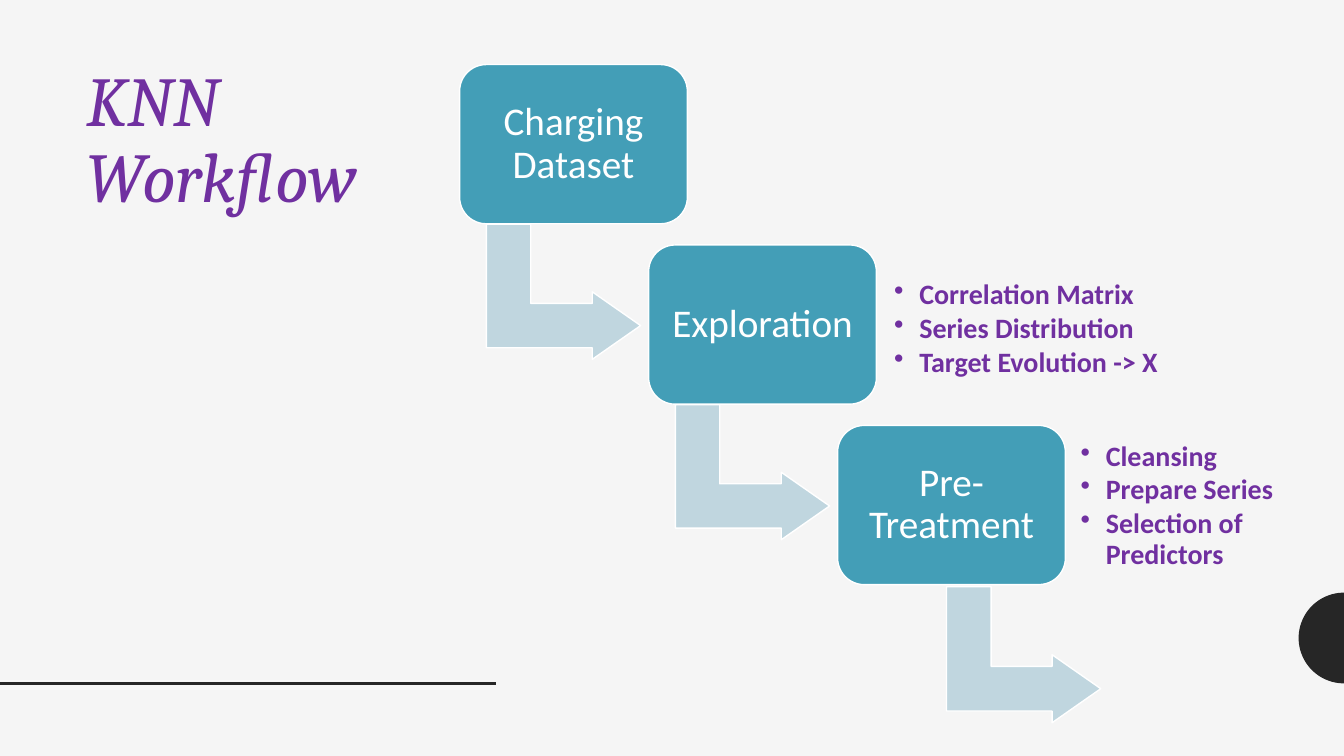
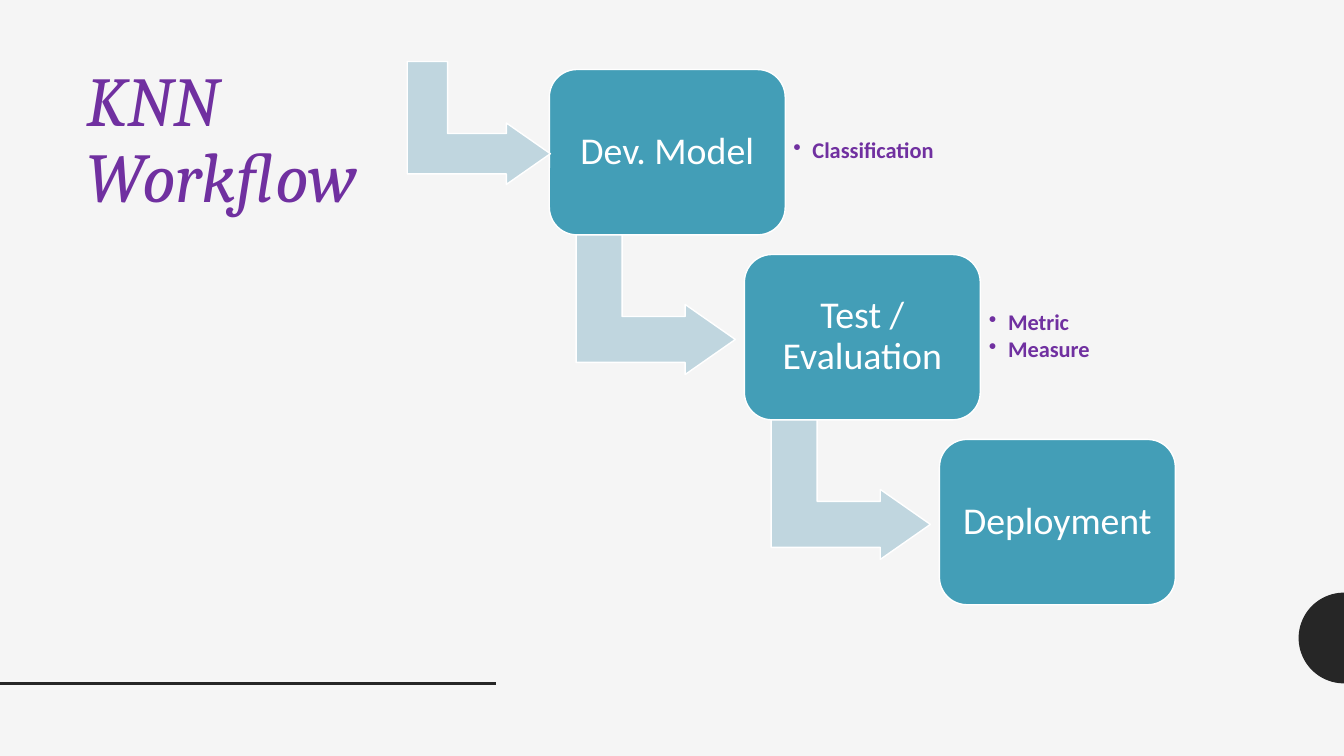
from math import cos, pi, sin

from lxml.etree import SubElement
from pptx import Presentation
from pptx.dml.color import RGBColor
from pptx.enum.shapes import MSO_CONNECTOR, MSO_SHAPE
from pptx.enum.text import MSO_ANCHOR as ANCHOR, PP_ALIGN as ALIGN
from pptx.oxml.ns import qn
from pptx.util import Inches, Pt


class Theme:
    background = RGBColor.from_string("F5F5F5")
    dark = RGBColor.from_string("262626")
    purple = RGBColor.from_string("7030A0")
    teal = RGBColor.from_string("439EB7")
    pale = RGBColor.from_string("C0D6DF")
    white = RGBColor.from_string("FFFFFF")
    title_font, body_font = "Cambria", "Calibri"
    title_size = 50


def write(shape, lines, size, color, font=Theme.body_font, bold=False, italic=False,
          align=ALIGN.LEFT, anchor=ANCHOR.MIDDLE, inset=(0.1, 0.05), after=0, indent=0):
    """Fill a shape with paragraphs; an indent makes them bullets."""
    frame = shape.text_frame
    frame.word_wrap = True
    frame.vertical_anchor = anchor
    frame.margin_left = frame.margin_right = Inches(inset[0])
    frame.margin_top = frame.margin_bottom = Inches(inset[1])
    for number, line in enumerate(lines):
        paragraph = frame.add_paragraph() if number else frame.paragraphs[0]
        paragraph.text = line
        paragraph.alignment = align
        paragraph.line_spacing = 0.9
        paragraph.space_after = Pt(after)
        for run in paragraph.runs:
            run.font.name, run.font.size = font, Pt(size)
            run.font.bold, run.font.italic = bold, italic
            run.font.color.rgb = color
        if indent:
            properties = paragraph._p.get_or_add_pPr()
            properties.set("marL", str(Inches(indent)))
            properties.set("indent", str(-Inches(indent)))
            SubElement(properties, qn("a:buChar")).set("char", "•")


def add_block(slide, kind, at, fill, adjustments):
    """Add a preset shape with a thin white outline."""
    shape = slide.shapes.add_shape(kind, *map(Inches, at))
    shape.shadow.inherit = False
    shape.fill.solid()
    shape.fill.fore_color.rgb = fill
    shape.line.color.rgb = Theme.white
    shape.line.width = Pt(1)
    for number, value in enumerate(adjustments):
        shape.adjustments[number] = value
    if kind == MSO_SHAPE.BENT_UP_ARROW:
        shape.rotation = 90
    return shape


ARROW = (MSO_SHAPE.BENT_UP_ARROW, Theme.pale, (0.328, 0.25, 0.358))

# Each step: label, notes, place of the notes
workflows = [
    dict(start=(4.56, 0.64), pitch=(1.875, 1.79), box=(2.26, 1.58),
         arrow=(0.36, 1.49, 1.34, 1.53), loose_arrow=(9.48, 5.73, 1.35, 1.53),
         label_size=28, label_inset=0.12,
         note_size=20, note_inset=0.08, note_indent=0.25, note_after=2.6,
         steps=[("Charging Dataset", [], None),
                ("Exploration",
                 ["Correlation Matrix", "Series Distribution", "Target Evolution -> X"],
                 (8.79, 2.45, 3.23, 1.64)),
                ("Pre-Treatment",
                 ["Cleansing", "Prepare Series", "Selection of Predictors"],
                 (10.64, 4.38, 2.58, 1.28))]),
    dict(start=(5.45, 0.69), pitch=(1.935, 1.835), box=(2.34, 1.64),
         arrow=(0.36, 1.54, 1.39, 1.58), loose_arrow=(4.14, 0.51, 1.22, 1.42),
         label_size=27, label_inset=0.11,
         note_size=16, note_inset=0.09, note_indent=0.19, note_after=2,
         steps=[("Dev. Model", ["Classification"], (7.78, 0.84, 1.7, 1.32)),
                ("Test / Evaluation", ["Metric", "Measure"], (9.72, 2.68, 1.7, 1.32)),
                ("Deployment", [], None)]),
]

presentation = Presentation()
presentation.slide_width, presentation.slide_height = Inches(13.333), Inches(7.5)

for flow in workflows:
    slide = presentation.slides.add_slide(presentation.slide_layouts[6])
    slide.background.fill.solid()
    slide.background.fill.fore_color.rgb = Theme.background

    # Half disc on the right edge
    arc = [(Inches(13.333 - 0.45 * sin(pi * i / 48)), Inches(6.33 - 0.45 * cos(pi * i / 48)))
           for i in range(49)]
    builder = slide.shapes.build_freeform(*arc[0])
    builder.add_line_segments(arc[1:], close=True)
    half_disc = builder.convert_to_shape()
    half_disc.shadow.inherit = False
    half_disc.fill.solid()
    half_disc.fill.fore_color.rgb = Theme.dark
    half_disc.line.fill.background()

    # Footer rule
    rule = slide.shapes.add_connector(MSO_CONNECTOR.STRAIGHT, Inches(0), Inches(6.78),
                                      Inches(4.92), Inches(6.78))
    rule.line.color.rgb = Theme.dark
    rule.line.width = Pt(2)
    SubElement(rule._element.spPr, qn("a:effectLst"))

    # Title
    title = slide.shapes.add_textbox(*map(Inches, (0.76, 0.61, 7.48, 5.42)))
    write(title, ["KNN\vWorkflow"], Theme.title_size, Theme.purple,
          font=Theme.title_font, italic=True, anchor=ANCHOR.TOP)

    # Staircase of steps, each but the last with an arrow to the next
    kind, fill, adjustments = ARROW
    for number, (label, notes, notes_at) in enumerate(flow["steps"]):
        left, top = (start + number * pitch
                     for start, pitch in zip(flow["start"], flow["pitch"]))
        if number < len(flow["steps"]) - 1:
            right, down, width, height = flow["arrow"]
            add_block(slide, kind, (left + right, top + down, width, height),
                      fill, adjustments)
        box = add_block(slide, MSO_SHAPE.ROUNDED_RECTANGLE, (left, top, *flow["box"]),
                        Theme.teal, [0.167])
        write(box, [label], flow["label_size"], Theme.white, align=ALIGN.CENTER,
              inset=(flow["label_inset"],) * 2)
        if notes:
            note_box = slide.shapes.add_textbox(*map(Inches, notes_at))
            write(note_box, notes, flow["note_size"], Theme.purple, bold=True,
                  inset=(flow["note_inset"],) * 2, after=flow["note_after"],
                  indent=flow["note_indent"])

    # Arrow that links the two slides
    add_block(slide, kind, flow["loose_arrow"], fill, adjustments)

presentation.save("out.pptx")
